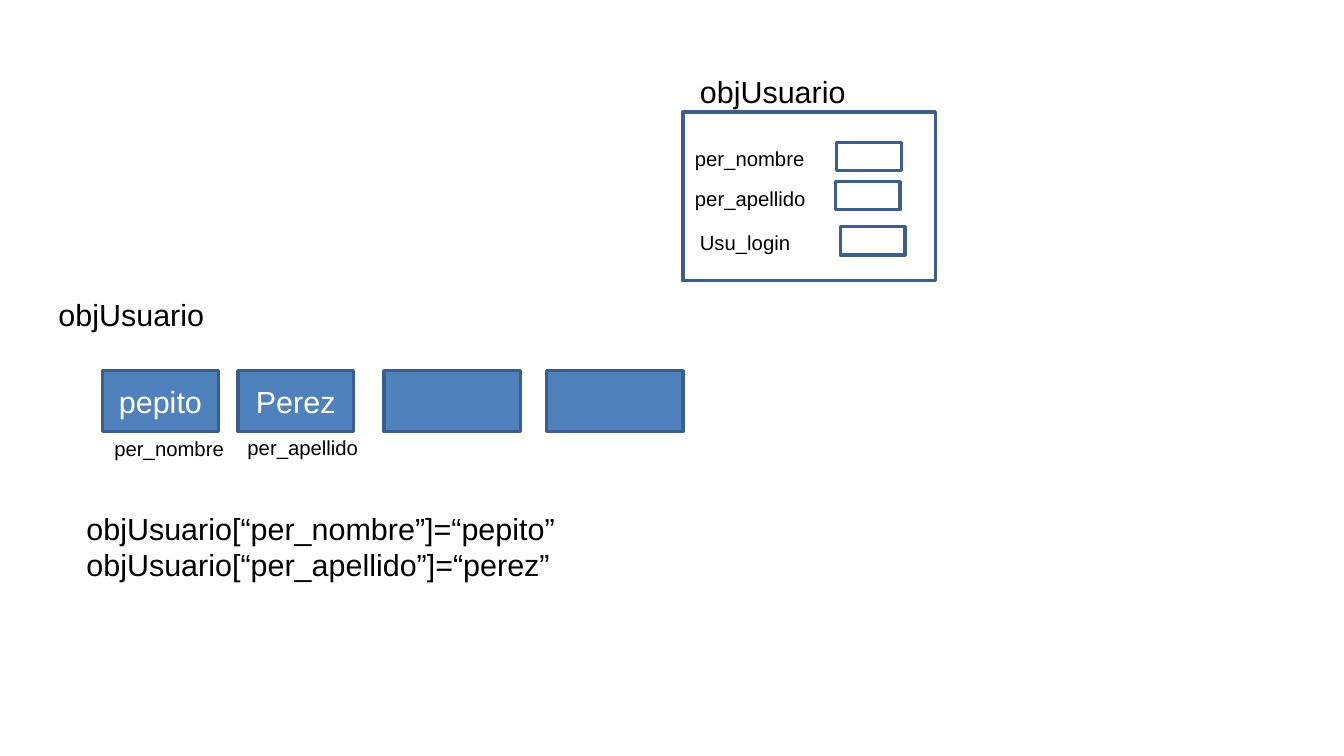
from dataclasses import dataclass

from pptx import Presentation
from pptx.dml.color import RGBColor
from pptx.enum.shapes import MSO_SHAPE
from pptx.enum.text import MSO_ANCHOR, PP_ALIGN
from pptx.shapes.autoshape import Shape
from pptx.util import Pt


@dataclass(frozen=True)
class Theme:
    """Colours, font and sizes used on the slide."""
    font: str = "Arial"
    heading: float = 18
    label: float = 12
    outline: float = 2
    ink: RGBColor = RGBColor(0x00, 0x00, 0x00)
    light: RGBColor = RGBColor(0xFF, 0xFF, 0xFF)
    fill: RGBColor = RGBColor(0x4F, 0x81, 0xBD)
    border: RGBColor = RGBColor(0x3A, 0x5F, 0x8C)


@dataclass(frozen=True)
class Box:
    """A bordered rectangle, filled or hollow, with optional centred text."""
    left: float
    top: float
    width: float
    height: float
    filled: bool = False
    text: str = ""


@dataclass(frozen=True)
class Label:
    """Unwrapped text, one paragraph per line."""
    left: float
    top: float
    width: float
    height: float
    size: float
    lines: tuple[str, ...]


@dataclass(frozen=True)
class Field:
    """An object field: its name and its empty value box."""
    name: str
    name_left: float
    name_top: float
    name_width: float
    value_left: float
    value_top: float


THEME = Theme()
HEADING_SIZE = (101.5, 28.8)
LABEL_HEIGHT = 21.6
VALUE_SIZE = (38.2, 16.6)

OBJECT_FRAME = Box(403.2, 66.2, 149, 99.4)
FIELDS = (
    Field("per_nombre", 403.2, 82.8, 79.2, 493.9, 84.2),
    Field("per_apellido", 403.2, 106.6, 79.9, 493.2, 107.3),
    Field("Usu_login", 406.1, 132.5, 68.4, 496.1, 133.9),
)

CELL_TOP, CELL_HEIGHT = 218.9, 36
CELLS = ((60.5, 68.4, "pepito"), (140.4, 68.4, "Perez"),
         (226.8, 80.6, ""), (322.6, 80.6, ""))

LABELS = (
    Label(406.1, 39.6, *HEADING_SIZE, THEME.heading, ("objUsuario",)),
    Label(27.4, 171.4, *HEADING_SIZE, THEME.heading, ("objUsuario",)),
    Label(60.5, 254.2, 79.2, LABEL_HEIGHT, THEME.label, ("per_nombre",)),
    Label(139, 253.4, 79.9, LABEL_HEIGHT, THEME.label, ("per_apellido",)),
    Label(43.9, 297.4, 293.8, 72.7, THEME.heading,
          ("objUsuario[“per_nombre”]=“pepito”",
           "objUsuario[“per_apellido”]=“perez”")),
)


def write(shape: Shape, lines: tuple[str, ...], size: float,
          color: RGBColor, align: PP_ALIGN) -> None:
    """Write the lines into a shape as styled paragraphs."""
    frame = shape.text_frame
    for index, line in enumerate(lines):
        paragraph = frame.add_paragraph() if index else frame.paragraphs[0]
        paragraph.alignment = align
        run = paragraph.add_run()
        run.text = line
        run.font.name = THEME.font
        run.font.size = Pt(size)
        run.font.color.rgb = color


def draw_box(shapes, box: Box) -> None:
    """Draw a rectangle on a slide or in a group."""
    shape = shapes.add_shape(MSO_SHAPE.RECTANGLE, Pt(box.left), Pt(box.top),
                             Pt(box.width), Pt(box.height))
    shape.shadow.inherit = False
    shape.line.color.rgb = THEME.border
    shape.line.width = Pt(THEME.outline)
    if box.filled:
        shape.fill.solid()
        shape.fill.fore_color.rgb = THEME.fill
    else:
        shape.fill.background()
    if box.text:
        shape.text_frame.vertical_anchor = MSO_ANCHOR.MIDDLE
        write(shape, (box.text,), THEME.heading, THEME.light, PP_ALIGN.CENTER)


def draw_label(shapes, label: Label) -> None:
    """Draw a text box on a slide or in a group."""
    shape = shapes.add_textbox(Pt(label.left), Pt(label.top),
                               Pt(label.width), Pt(label.height))
    shape.text_frame.word_wrap = False
    write(shape, label.lines, label.size, THEME.ink, PP_ALIGN.LEFT)


def draw_object(shapes) -> None:
    """Draw the object frame and its fields as one group."""
    group = shapes.add_group_shape().shapes
    draw_box(group, OBJECT_FRAME)
    for field in FIELDS:
        draw_box(group, Box(field.value_left, field.value_top, *VALUE_SIZE))
        draw_label(group, Label(field.name_left, field.name_top,
                                field.name_width, LABEL_HEIGHT,
                                THEME.label, (field.name,)))


def main() -> None:
    """Build and save the slide."""
    deck = Presentation()
    deck.slide_width, deck.slide_height = Pt(793.44), Pt(446.4)
    shapes = deck.slides.add_slide(deck.slide_layouts[6]).shapes
    draw_object(shapes)
    for left, width, text in CELLS:
        draw_box(shapes, Box(left, CELL_TOP, width, CELL_HEIGHT, True, text))
    for label in LABELS:
        draw_label(shapes, label)
    deck.save("out.pptx")


main()
